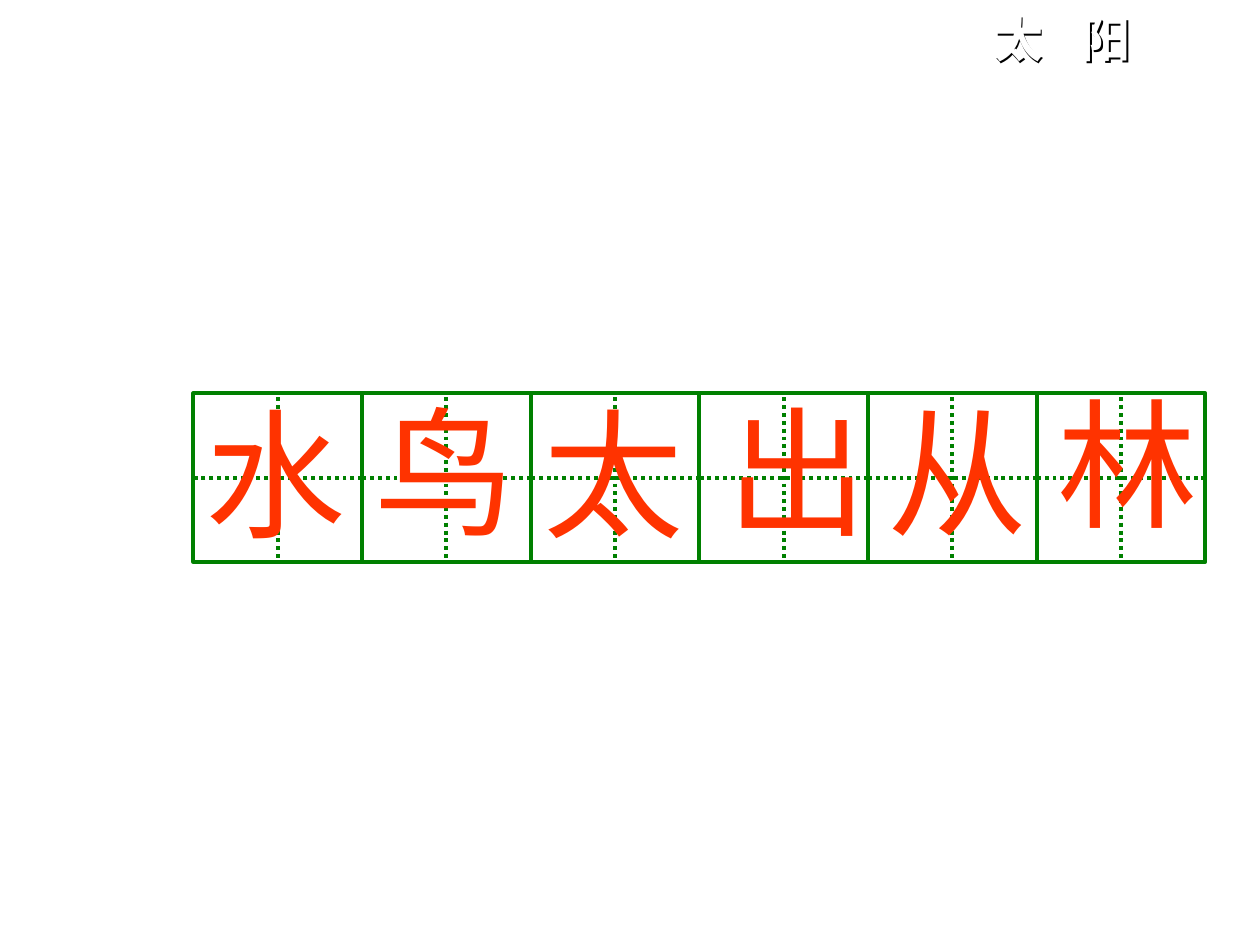
"""Build a slide with six Chinese characters in a row of dotted practice squares."""
from lxml import etree
from pptx import Presentation
from pptx.dml.color import RGBColor
from pptx.enum.dml import MSO_LINE
from pptx.enum.shapes import MSO_CONNECTOR, MSO_SHAPE
from pptx.oxml.ns import qn
from pptx.util import Cm, Pt

STRAIGHT = MSO_CONNECTOR.STRAIGHT
RECTANGLE = MSO_SHAPE.RECTANGLE
DOTTED = MSO_LINE.ROUND_DOT
COLORS = {"paper": "FFFFFF", "grid": "008000", "character": "FF3300", "shadow": "000000"}
CELL = 3.4
GRID_LEFT = 3.9
GRID_TOP = 7.93
CHARACTERS = [
    ("水", 3.89, 7.69),
    ("鸟", 7.31, 7.65),
    ("太", 10.71, 7.69),
    ("出", 14.42, 7.65),
    ("从", 17.65, 7.65),
    ("林", 21.06, 7.49),
]


def add_text(page, text, left, top, width, height, size, color, bold=False):
    box = page.shapes.add_textbox(Cm(left), Cm(top), Cm(width), Cm(height))
    box.text_frame.word_wrap = True
    span = box.text_frame.paragraphs[0].add_run()
    span.text = text
    span.font.name = "Arial"
    span.font.size = Pt(size)
    span.font.bold = bold
    span.font.color.rgb = RGBColor.from_string(COLORS[color])
    return box


deck = Presentation()
deck.slide_width, deck.slide_height = Cm(25.4), Cm(19.05)
page = deck.slides.add_slide(deck.slide_layouts[6])
page.background.fill.solid()
page.background.fill.fore_color.rgb = RGBColor.from_string(COLORS["paper"])

middle = GRID_TOP + CELL / 2
for column in range(len(CHARACTERS)):
    left = GRID_LEFT + column * CELL
    center = left + CELL / 2
    cell = page.shapes.add_group_shape()
    square = cell.shapes.add_shape(RECTANGLE, Cm(left), Cm(GRID_TOP), Cm(CELL), Cm(CELL))
    square.shadow.inherit = False
    square.fill.solid()
    square.fill.fore_color.rgb = RGBColor.from_string(COLORS["paper"])
    square.line.color.rgb = RGBColor.from_string(COLORS["grid"])
    square.line.width = Pt(2.25)
    guides = [
        (left + CELL, middle, left, middle),
        (center, GRID_TOP + 0.08, center, GRID_TOP + CELL),
    ]
    for ends in guides:
        guide = cell.shapes.add_connector(STRAIGHT, *[Cm(end) for end in ends])
        guide.line.color.rgb = RGBColor.from_string(COLORS["grid"])
        guide.line.width = Pt(2.25)
        guide.line.dash_style = DOTTED
        etree.SubElement(guide._element.spPr, qn("a:effectLst"))

for character, left, top in CHARACTERS:
    add_text(page, character, left, top, 3.33, 3.66, 80, "character")

word = add_text(page, "太 阳", 19.79, 0.05, 3.96, 1.45, 28, "paper", bold=True)
word.text_frame.paragraphs[0].runs[0].font._element.set("spc", "780")
effects = etree.SubElement(word._element.spPr, qn("a:effectLst"))
shadow = etree.SubElement(effects, qn("a:outerShdw"), dist="17961", dir="2700000")
etree.SubElement(shadow, qn("a:srgbClr"), val=COLORS["shadow"])

deck.save("out.pptx")
